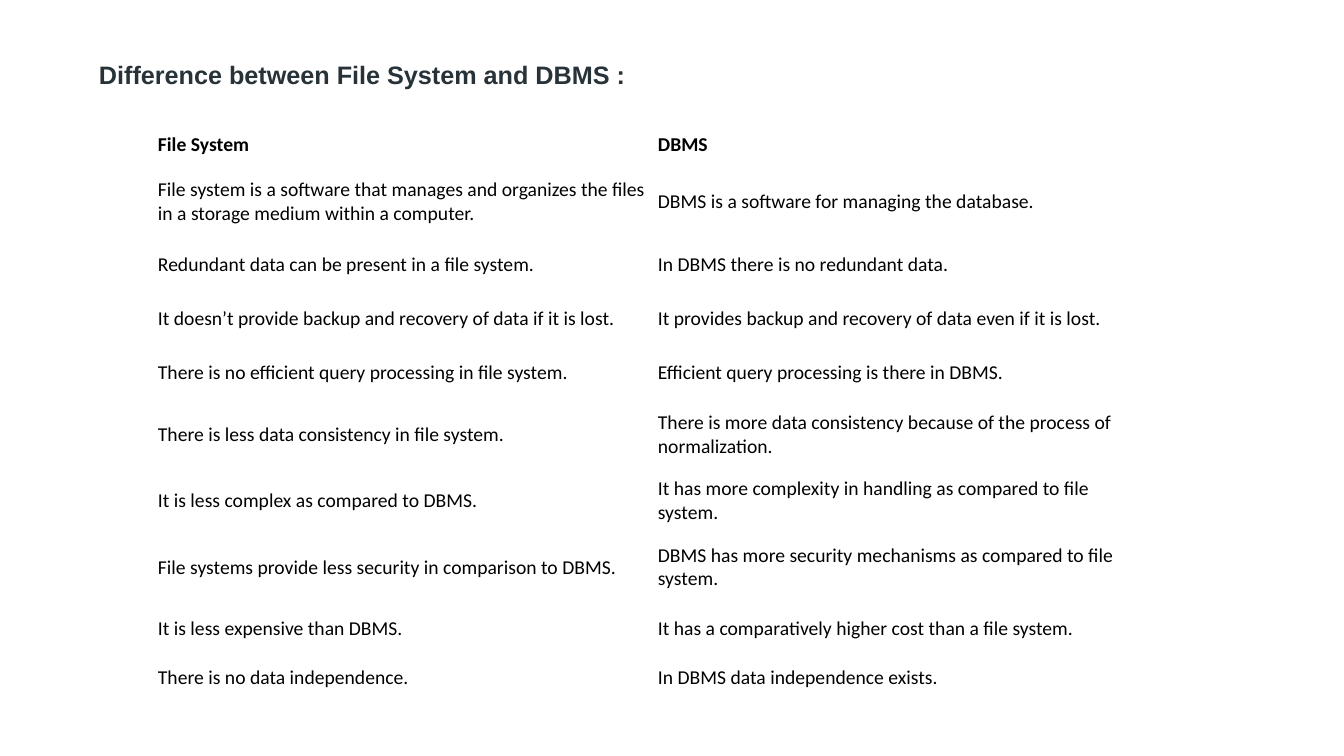
"""Build a slide comparing file systems with database management systems."""
from pptx import Presentation
from pptx.dml.color import RGBColor
from pptx.enum.shapes import MSO_SHAPE
from pptx.enum.text import MSO_ANCHOR, PP_ALIGN
from pptx.util import Pt

TITLE = "Difference between File System and DBMS :"
COMPARISON = [
    ("File System", "DBMS", 38),
    ("File system is a software that manages and organizes the files in a storage medium within a computer.",
     "DBMS is a software for managing the database.", 73),
    ("Redundant data can be present in a file system.",
     "In DBMS there is no redundant data.", 54),
    ("It doesn’t provide backup and recovery of data if it is lost.",
     "It provides backup and recovery of data even if it is lost.", 54),
    ("There is no efficient query processing in file system.",
     "Efficient query processing is there in DBMS.", 54),
    ("There is less data consistency in file system.",
     "There is more data consistency because of the process of normalization.", 69),
    ("It is less complex as compared to DBMS.",
     "It has more complexity in handling as compared to file system.", 54),
    ("File systems provide less security in comparison to DBMS.",
     "DBMS has more security mechanisms as compared to file system.", 69),
    ("It is less expensive than DBMS.",
     "It has a comparatively higher cost than a file system.", 54),
    ("There is no data independence.",
     "In DBMS data independence exists.", 43),
]
COLUMN_WIDTHS = (19, 500, 490)
TITLE_BOX = (99, 58, 1015, 50)
TABLE_CORNER = (133, 125)

BLACK = RGBColor(0x00, 0x00, 0x00)
SLATE = RGBColor(0x27, 0x32, 0x39)
WHITE = RGBColor(0xFF, 0xFF, 0xFF)
TITLE_FONT = {"name": "Arial", "size": Pt(18), "bold": True}
CELL_FONT = {"name": "Calibri", "size": Pt(14)}


def px(length):
    """Turn pixels into EMU."""
    return round(length * 914400 / 100.8)


def set_attributes(target, values):
    """Set every named attribute on the target."""
    for name, value in values.items():
        setattr(target, name, value)


def write(paragraph, text, font, color):
    """Add one formatted run to a paragraph."""
    run = paragraph.add_run()
    run.text = text
    set_attributes(run.font, font)
    run.font.color.rgb = color


def margins(left, top, right, bottom):
    """Return the margin attributes for pixel insets."""
    return {"margin_left": px(left), "margin_top": px(top),
            "margin_right": px(right), "margin_bottom": px(bottom)}


def add_title(slide):
    """Add the white title box."""
    shape = slide.shapes.add_shape(MSO_SHAPE.RECTANGLE, *map(px, TITLE_BOX))
    shape.shadow.inherit = False
    shape.fill.solid()
    shape.fill.fore_color.rgb = WHITE
    shape.line.fill.background()
    frame = shape.text_frame
    set_attributes(frame, {"word_wrap": True, "vertical_anchor": MSO_ANCHOR.MIDDLE,
                           **margins(0, 0, 0, 18)})
    paragraph = frame.paragraphs[0]
    paragraph.alignment = PP_ALIGN.LEFT
    write(paragraph, TITLE, TITLE_FONT, SLATE)


def add_comparison(slide):
    """Add the comparison table with its narrow leading column."""
    width = sum(COLUMN_WIDTHS)
    height = sum(row[-1] for row in COMPARISON)
    table = slide.shapes.add_table(len(COMPARISON), len(COLUMN_WIDTHS),
                                   *map(px, (*TABLE_CORNER, width, height))).table
    set_attributes(table, {"first_row": False, "horz_banding": False})
    for column, column_width in zip(table.columns, COLUMN_WIDTHS):
        column.width = px(column_width)
    for index, (file_system, dbms, row_height) in enumerate(COMPARISON):
        row = table.rows[index]
        row.height = px(row_height)
        is_header = index == 0
        inset = 6 if is_header else 8
        for cell, text in zip(row.cells, ("", file_system, dbms)):
            cell.fill.background()
            set_attributes(cell, {"vertical_anchor": MSO_ANCHOR.MIDDLE,
                                  **margins(6, inset, 6, inset)})
            write(cell.text_frame.paragraphs[0], text,
                  {**CELL_FONT, "bold": is_header}, BLACK)


def main():
    """Create and save the presentation."""
    presentation = Presentation()
    set_attributes(presentation, {"slide_width": px(1344), "slide_height": px(756)})
    slide = presentation.slides.add_slide(presentation.slide_layouts[6])
    add_comparison(slide)
    add_title(slide)
    presentation.save("out.pptx")


if __name__ == "__main__":
    main()
